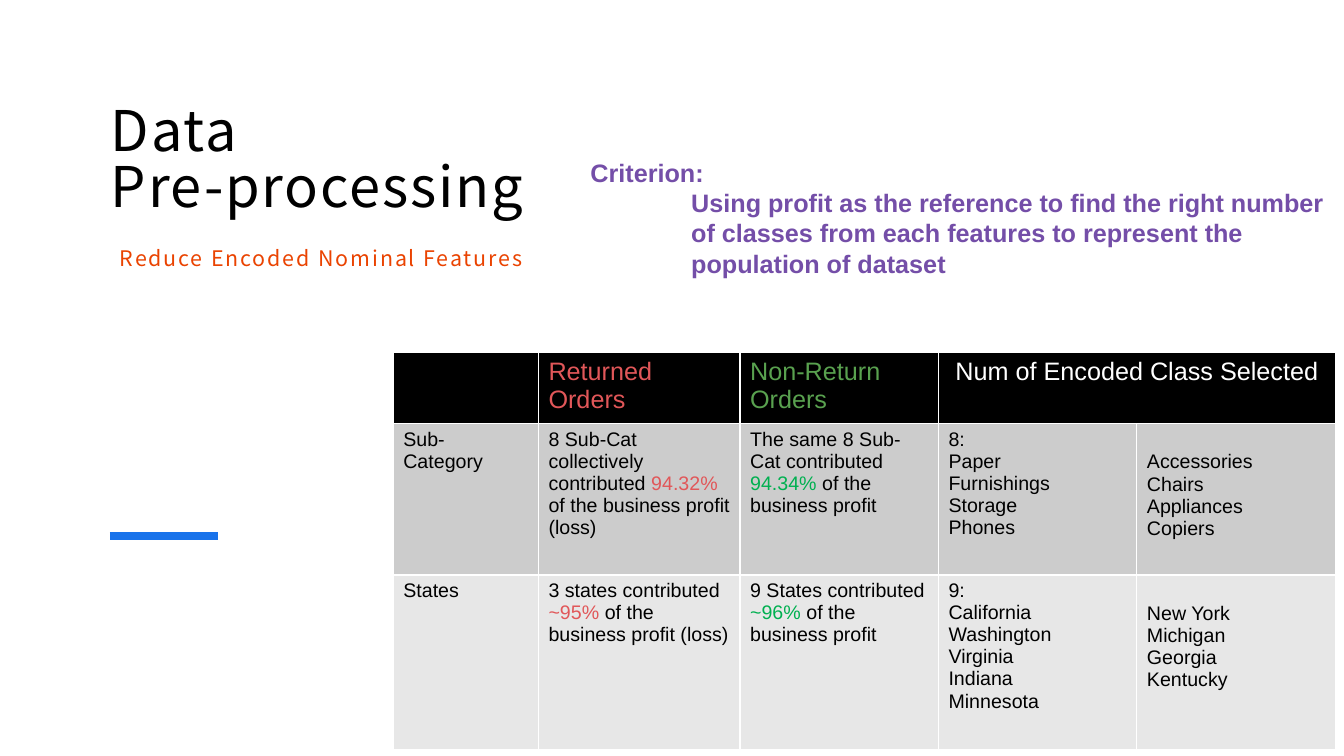
"""Build the data pre-processing slide with its encoded class table."""
import pptx
import pptx.enum.shapes
import pptx.enum.text
import pptx.util
from lxml import etree
from pptx.dml.color import RGBColor
from pptx.oxml.ns import qn
from pptx.util import Cm, Pt

BLACK = RGBColor(0x00, 0x00, 0x00)
WHITE = RGBColor(0xFF, 0xFF, 0xFF)
BLUE = RGBColor(0x19, 0x73, 0xEB)
ORANGE = RGBColor(0xEA, 0x43, 0x01)
PURPLE = RGBColor(0x74, 0x4E, 0xA8)
RED = RGBColor(0xE1, 0x57, 0x59)
SAGE = RGBColor(0x59, 0xA1, 0x4F)
GREEN = RGBColor(0x00, 0xB0, 0x50)
DARK_GRAY = RGBColor(0xCC, 0xCC, 0xCC)
LIGHT_GRAY = RGBColor(0xE7, 0xE7, 0xE7)

HEADING_FONT = "Noto Sans CJK JP"
BODY_FONT = "Arial"
LEFT, CENTER = pptx.enum.text.PP_ALIGN.LEFT, pptx.enum.text.PP_ALIGN.CENTER

HEADING = ["Data \nPre-processing"]
SUBHEADING = ["Reduce Encoded Nominal Features"]
CRITERION = [
    "Criterion:",
    "Using profit as the reference to find the right number of classes "
    "from each features to represent the population of dataset",
]
HEADERS = [
    ([], WHITE, LEFT),
    (["Returned", "Orders"], RED, LEFT),
    (["Non-Return", "Orders"], SAGE, LEFT),
    (["Num of Encoded Class Selected"], WHITE, CENTER),
    ([], WHITE, LEFT),
]
FEATURES = [
    (
        ["Sub-", "Category"],
        [["8 Sub-Cat collectively contributed ", ("94.32%", RED),
          " of the business profit (loss)"]],
        [["The same 8 Sub-Cat contributed ", ("94.34% ", GREEN),
          "of the business profit"]],
        ["8:", "Paper", "Furnishings", "Storage", "Phones"],
        ["Accessories", "Chairs", "Appliances", "Copiers"],
    ),
    (
        ["States"],
        [["3 states contributed ", ("~95% ", RED),
          "of the business profit (loss)"]],
        [["9 States contributed ", ("~96% ", GREEN),
          "of the business profit"]],
        ["9:", "California", "Washington", "Virginia", "Indiana", "Minnesota"],
        ["New York", "Michigan", "Georgia", "Kentucky"],
    ),
]
COLUMN_WIDTHS = [Cm(3.66), Cm(5.08), Cm(5), Cm(5), Cm(5)]
ROW_HEIGHTS = [Cm(1.79), Cm(3.81), Cm(4.4)]
ROW_FILLS = [DARK_GRAY, LIGHT_GRAY]
CONTINUED_MARGIN = Cm(0.69)


def write_text(frame, paragraphs, size, color, font=BODY_FONT, bold=False,
               align=LEFT, tracking=None, spacing=None):
    """Write paragraphs of plain or coloured runs into a text frame."""
    for index, content in enumerate(paragraphs):
        paragraph = frame.add_paragraph() if index else frame.paragraphs[0]
        paragraph.alignment = align
        if spacing:
            paragraph.line_spacing = spacing
        for piece in [content] if isinstance(content, str) else content:
            words, tint = (piece, color) if isinstance(piece, str) else piece
            for number, line in enumerate(words.split("\n")):
                if number:
                    paragraph.add_line_break()
                run = paragraph.add_run()
                run.text = line
                run.font.name = font
                run.font.size = Pt(size)
                run.font.bold = bold
                run.font.color.rgb = tint
                if tracking:
                    run.font.language_id = None
                    run._r.get_or_add_rPr().set("spc", str(round(tracking * 100)))


def add_heading(slide):
    """Place the title, its subheading and the accent rule."""
    title = slide.shapes.title
    title.left, title.top, title.width, title.height = (
        Cm(2.54), Cm(2.54), Cm(11.43), Cm(6.35))
    title.text_frame.vertical_anchor = pptx.enum.text.MSO_ANCHOR.TOP
    title.text_frame.auto_size = pptx.enum.text.MSO_AUTO_SIZE.NONE
    write_text(title.text_frame, HEADING, 40, BLACK, font=HEADING_FONT,
               tracking=1.3, spacing=0.84)

    subheading = slide.shapes.add_textbox(Cm(2.77), Cm(6.12), Cm(11.2), Cm(1.07))
    subheading.text_frame.word_wrap = True
    write_text(subheading.text_frame, SUBHEADING, 15.3, ORANGE,
               font=HEADING_FONT, tracking=1.3, spacing=0.9)

    rule = slide.shapes.add_connector(
        pptx.enum.shapes.MSO_CONNECTOR.STRAIGHT,
        Cm(2.77), Cm(13.51), Cm(5.49), Cm(13.51))
    rule.line.color.rgb = BLUE
    rule.line.width = Pt(6)
    etree.SubElement(rule._element.spPr, qn("a:effectLst"))


def add_criterion(slide):
    """Place the criterion with its explanation indented below."""
    criterion = slide.shapes.add_textbox(Cm(14.63), Cm(3.84), Cm(19.35), Cm(3.33))
    frame = criterion.text_frame
    frame.word_wrap = True
    write_text(frame, CRITERION, 18, PURPLE, bold=True)
    frame.paragraphs[1]._p.get_or_add_pPr().set("marL", str(Cm(2.54)))


def add_features(slide):
    """Place the table of features and the classes kept for each."""
    table = slide.shapes.add_table(
        len(ROW_HEIGHTS), len(COLUMN_WIDTHS), Cm(9.91), Cm(8.89),
        sum(COLUMN_WIDTHS), sum(ROW_HEIGHTS)).table
    for column, width in zip(table.columns, COLUMN_WIDTHS):
        column.width = width
    for row, height in zip(table.rows, ROW_HEIGHTS):
        row.height = height

    for cell, (header, color, align) in zip(table.rows[0].cells, HEADERS):
        cell.fill.solid()
        cell.fill.fore_color.rgb = BLACK
        write_text(cell.text_frame, header, 18, color, align=align)
    table.cell(0, 3).merge(table.cell(0, 4))

    for row, (feature, fill) in enumerate(zip(FEATURES, ROW_FILLS), start=1):
        for cell, paragraphs in zip(table.rows[row].cells, feature):
            cell.fill.solid()
            cell.fill.fore_color.rgb = fill
            write_text(cell.text_frame, paragraphs, 14, BLACK)
        table.cell(row, 4).margin_top = CONTINUED_MARGIN


def main():
    """Assemble and save the slide."""
    deck = pptx.Presentation()
    deck.slide_width, deck.slide_height = Cm(33.87), Cm(19.05)
    slide = deck.slides.add_slide(deck.slide_layouts[5])
    add_heading(slide)
    add_criterion(slide)
    add_features(slide)
    deck.save("out.pptx")


if __name__ == "__main__":
    main()
